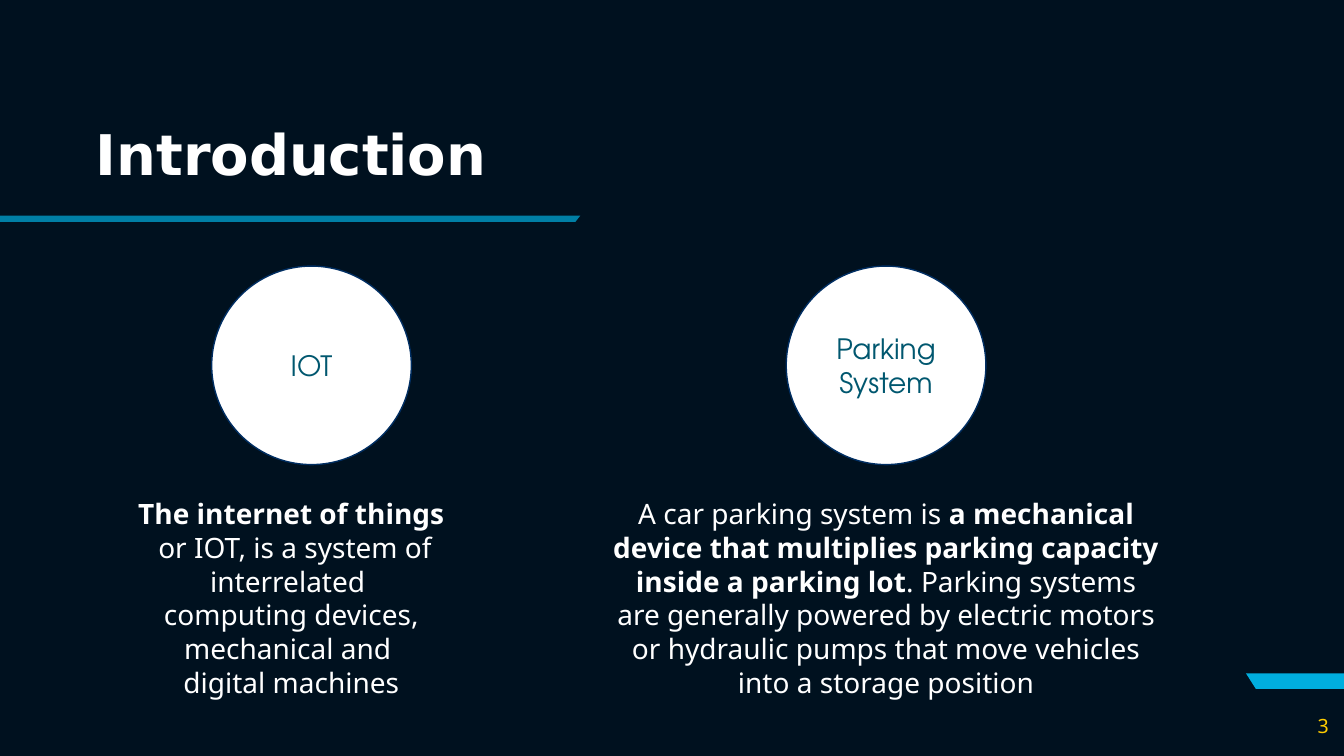
from lxml.etree import SubElement
from pptx import Presentation
from pptx.dml.color import RGBColor
from pptx.enum.shapes import MSO_SHAPE
from pptx.enum.text import MSO_ANCHOR, PP_ALIGN
from pptx.oxml.ns import qn
from pptx.util import Pt

TITLE = "Introduction"
PAGE_NUMBER = "3"
# Each topic: circle label, circle left, text left, text width, paragraphs of (text, bold)
TOPICS = [
    ("IOT", 151.2, 61.2, 293.8, [
        [("The internet of things", True)],
        [(" or IOT, is a system of interrelated ", False)],
        [("computing devices, mechanical and ", False)],
        [("digital machines", False)],
    ]),
    ("Parking System", 561.6, 430.6, 404.6, [
        [("A car parking system is\u00a0".replace("\u00a0", " "), False),
         ("a mechanical device that multiplies parking capacity inside a parking lot", True),
         (". Parking systems are generally powered by electric motors or hydraulic pumps "
          "that move vehicles into a storage position", False)],
    ]),
]
# Each bar: corner points, colour, opacity in percent
BARS = [
    ([(960, 481), (960, 492), (897, 492), (890, 481)], "00AEDE", 100),
    ([(0, 154), (0, 158.5), (411, 158.5), (414.5, 154)], "00AEDE", 70),
]
CIRCLE_TOP, CIRCLE_WIDTH, CIRCLE_HEIGHT = 190.1, 142.6, 141.8
TEXT_TOP, TEXT_HEIGHT = 351.4, 152.6


def color(value):
    return RGBColor.from_string(value)


def add_span(para, text, font, size, value, bold=False):
    span = para.add_run()
    span.text = text
    span.font.name = font
    span.font.size = Pt(size)
    span.font.bold = bold
    span.font.color.rgb = color(value)


def add_bar(page, points, value, opacity):
    corners = [(Pt(x), Pt(y)) for x, y in points]
    builder = page.shapes.build_freeform(*corners[0], scale=1.0)
    builder.add_line_segments(corners[1:], close=True)
    bar = builder.convert_to_shape()
    bar.shadow.inherit = False
    bar.fill.solid()
    bar.fill.fore_color.rgb = color(value)
    bar.line.fill.background()
    if opacity < 100:
        fill_color = bar.fill._xPr.find(qn("a:solidFill"))[0]
        SubElement(fill_color, qn("a:alpha")).set("val", str(opacity * 1000))


def add_text_box(page, left, top, width, height):
    frame = page.shapes.add_textbox(Pt(left), Pt(top), Pt(width), Pt(height)).text_frame
    frame.word_wrap = True
    return frame


def add_circle(page, label, left):
    circle = page.shapes.add_shape(MSO_SHAPE.OVAL, Pt(left), Pt(CIRCLE_TOP),
                                   Pt(CIRCLE_WIDTH), Pt(CIRCLE_HEIGHT))
    circle.shadow.inherit = False
    circle.fill.solid()
    circle.fill.fore_color.rgb = color("FFFFFF")
    circle.line.color.rgb = color("002E62")
    circle.line.width = Pt(1)
    frame = circle.text_frame
    frame.vertical_anchor = MSO_ANCHOR.MIDDLE
    para = frame.paragraphs[0]
    para.alignment = PP_ALIGN.CENTER
    add_span(para, label, "TeX Gyre Adventor", 20, "00576F")


def add_description(page, left, width, paragraphs):
    frame = add_text_box(page, left, TEXT_TOP, width, TEXT_HEIGHT)
    for index, spans in enumerate(paragraphs):
        para = frame.add_paragraph() if index else frame.paragraphs[0]
        para.alignment = PP_ALIGN.CENTER
        para.line_spacing = Pt(24)
        for text, bold in spans:
            add_span(para, text, "Noto Sans", 20, "FFFFFF", bold)


def main():
    deck = Presentation()
    deck.slide_width, deck.slide_height = Pt(960), Pt(540)
    page = deck.slides.add_slide(deck.slide_layouts[5])
    page.background.fill.solid()
    page.background.fill.fore_color.rgb = color("00111F")

    for bar in BARS:
        add_bar(page, *bar)

    title = page.shapes.title
    title.left, title.top, title.width, title.height = Pt(61.2), Pt(81.4), Pt(398.2), Pt(61.9)
    title.text_frame.vertical_anchor = MSO_ANCHOR.MIDDLE
    para = title.text_frame.paragraphs[0]
    para.alignment = PP_ALIGN.LEFT
    para.line_spacing = 0.9
    add_span(para, TITLE, "DejaVu Sans", 40, "FFFFFF", True)

    frame = add_text_box(page, 913, 504, 43.2, 28.8)
    frame.vertical_anchor = MSO_ANCHOR.MIDDLE
    frame.paragraphs[0].alignment = PP_ALIGN.RIGHT
    add_span(frame.paragraphs[0], PAGE_NUMBER, "Noto Sans", 14, "FFCD00")

    for label, circle_left, text_left, text_width, paragraphs in TOPICS:
        add_circle(page, label, circle_left)
        add_description(page, text_left, text_width, paragraphs)

    deck.save("out.pptx")


if __name__ == "__main__":
    main()
